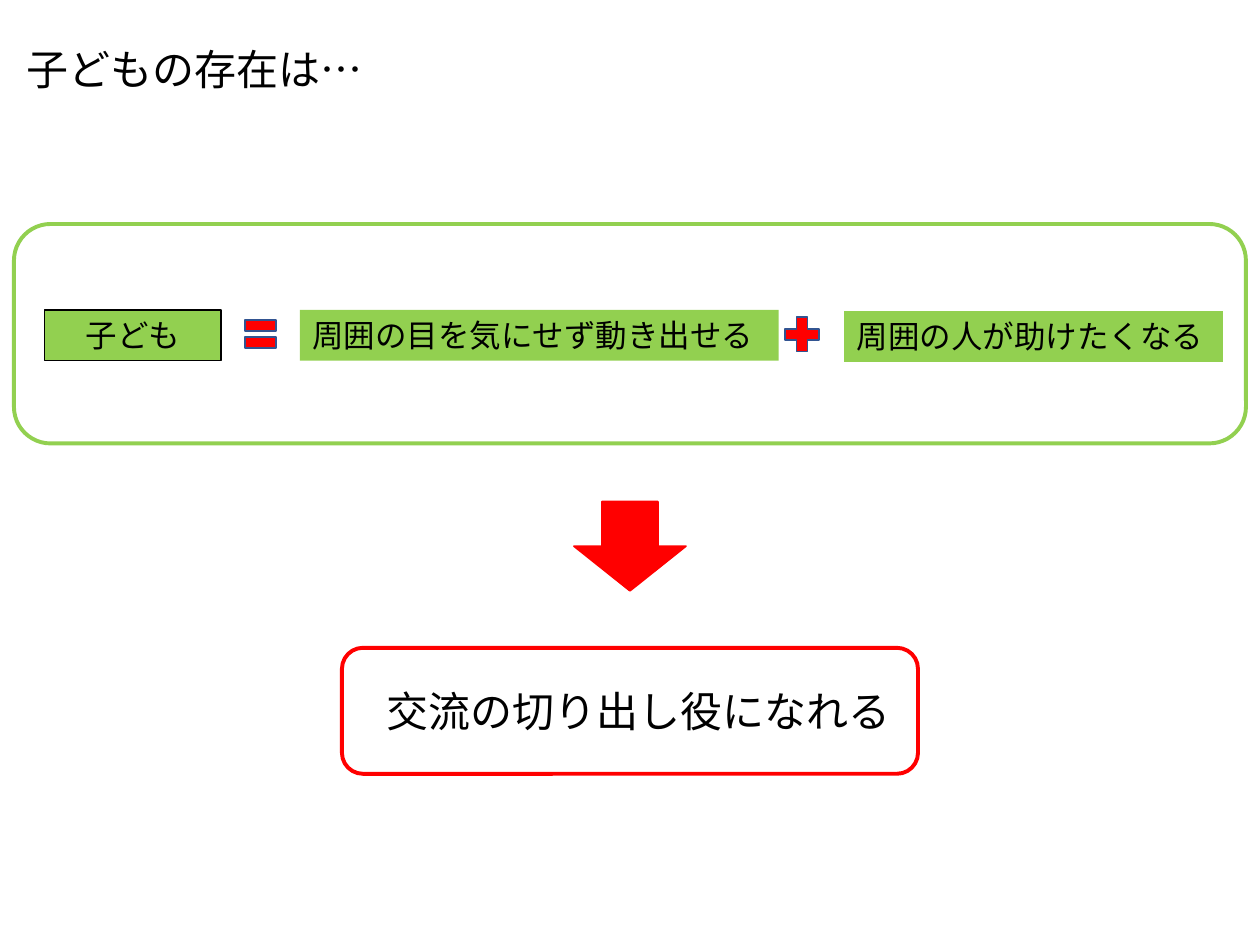
from typing import NamedTuple, Optional

from pptx import Presentation
from pptx.dml.color import RGBColor as Rgb
from pptx.enum.shapes import MSO_SHAPE as Kind
from pptx.enum.text import MSO_ANCHOR as Anchor, MSO_AUTO_SIZE as Fit, PP_ALIGN as Align
from pptx.util import Pt

FONT = "Calibri"
HUES = {"green": "92D050", "red": "FF0000", "navy": "325491", "black": "000000"}


class Box(NamedTuple):
    x: float
    y: float
    w: float
    h: float


class Item(NamedTuple):
    kind: Kind
    box: Box
    fill: Optional[str] = None
    line: Optional[str] = None
    width: float = 1
    text: str = ""
    align: Align = Align.LEFT


CHIP_H = 29
ITEMS = [
    Item(Kind.RECTANGLE, Box(25.6, 177.1, 100.8, CHIP_H), "green", "black", 0.75,
         "子ども", Align.CENTER),
    Item(Kind.RECTANGLE, Box(171.4, 177.1, 273.6, CHIP_H), "green",
         text="周囲の目を気にせず動き出せる"),
    Item(Kind.RECTANGLE, Box(482.4, 177.8, 216.4, CHIP_H), "green",
         text="周囲の人が助けたくなる"),
    Item(Kind.MATH_EQUAL, Box(137, 177.1, 24, 27.4), "red", "navy"),
    Item(Kind.MATH_PLUS, Box(445, 177.8, 26.6, 26.6), "red", "navy"),
    Item(Kind.DOWN_ARROW, Box(328, 286.6, 64, 51), "red", "red"),
    Item(Kind.ROUNDED_RECTANGLE, Box(8, 128, 704, 125.4), None, "green", 2.25),
    Item(Kind.ROUNDED_RECTANGLE, Box(195.4, 370.2, 329.2, 72), None, "red", 2.25),
]


def points(box: Box) -> list[Pt]:
    return [Pt(side) for side in box]


def write(shape, text: str, size: float, align: Align = Align.LEFT,
          anchor: Anchor = Anchor.TOP, wrap: bool = True) -> None:
    frame = shape.text_frame
    frame.auto_size = Fit.NONE
    frame.word_wrap = wrap
    frame.vertical_anchor = anchor
    para = frame.paragraphs[0]
    para.alignment = align
    run = para.add_run()
    run.text = text
    run.font.name = FONT
    run.font.size = Pt(size)
    run.font.color.rgb = Rgb.from_string(HUES["black"])


def draw(slide, item: Item) -> None:
    shape = slide.shapes.add_shape(item.kind, *points(item.box))
    shape.shadow.inherit = False
    if item.fill:
        shape.fill.solid()
        shape.fill.fore_color.rgb = Rgb.from_string(HUES[item.fill])
    else:
        shape.fill.background()
    if item.line:
        shape.line.color.rgb = Rgb.from_string(HUES[item.line])
        shape.line.width = Pt(item.width)
    else:
        shape.line.fill.background()
    if item.text:
        write(shape, item.text, 18, item.align)


def main() -> None:
    deck = Presentation()
    deck.slide_width, deck.slide_height = Pt(720), Pt(540)
    slide = deck.slides.add_slide(deck.slide_layouts[5])

    title = slide.shapes.title
    title.left, title.top, title.width, title.height = points(Box(8, 21, 264, 36))
    write(title, "子どもの存在は…", 24)

    for item in ITEMS:
        draw(slide, item)
    role = slide.shapes.add_textbox(*points(Box(214, 388, 309.6, 36)))
    write(role, "交流の切り出し役になれる", 24)
    deck.save("out.pptx")


if __name__ == "__main__":
    main()
